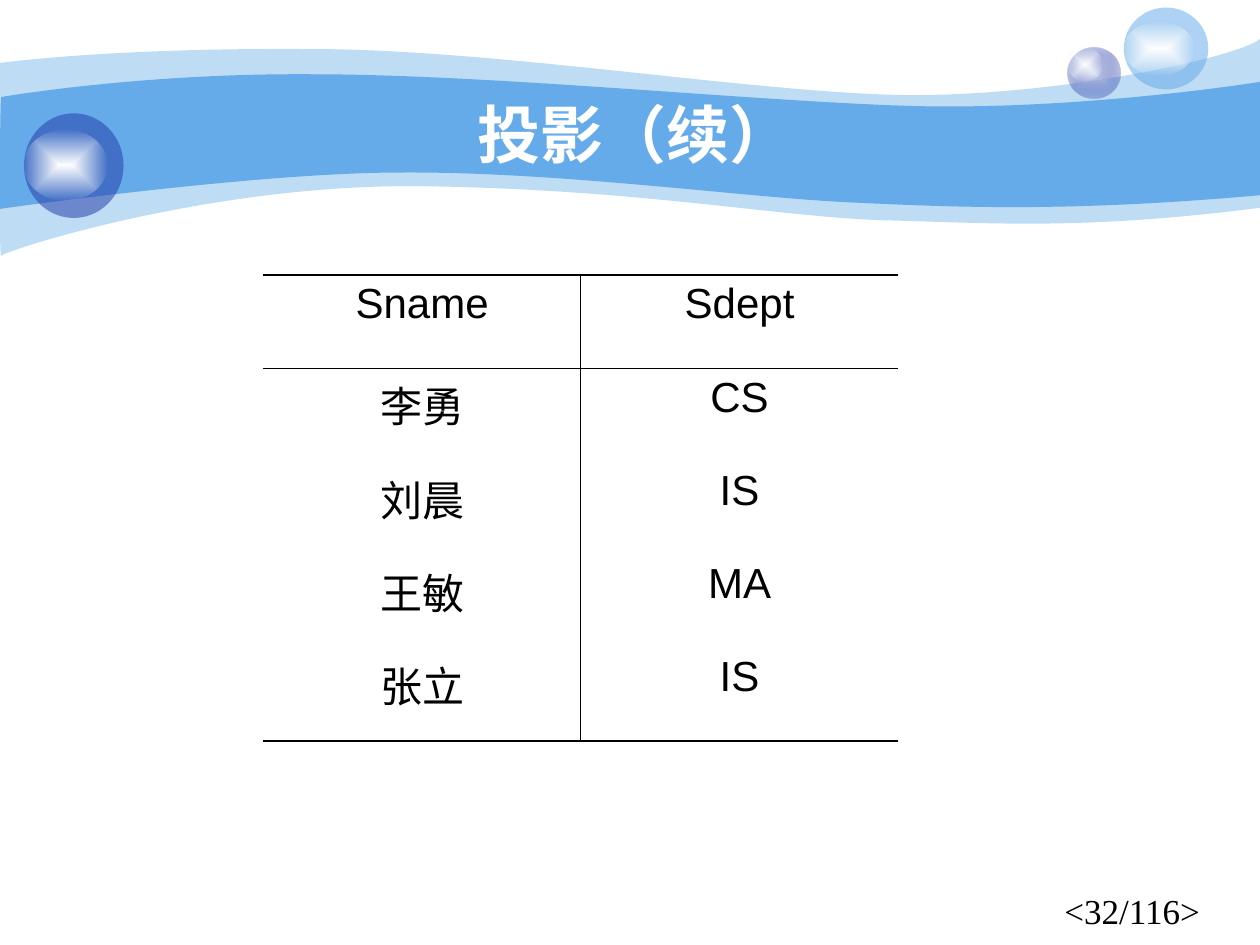
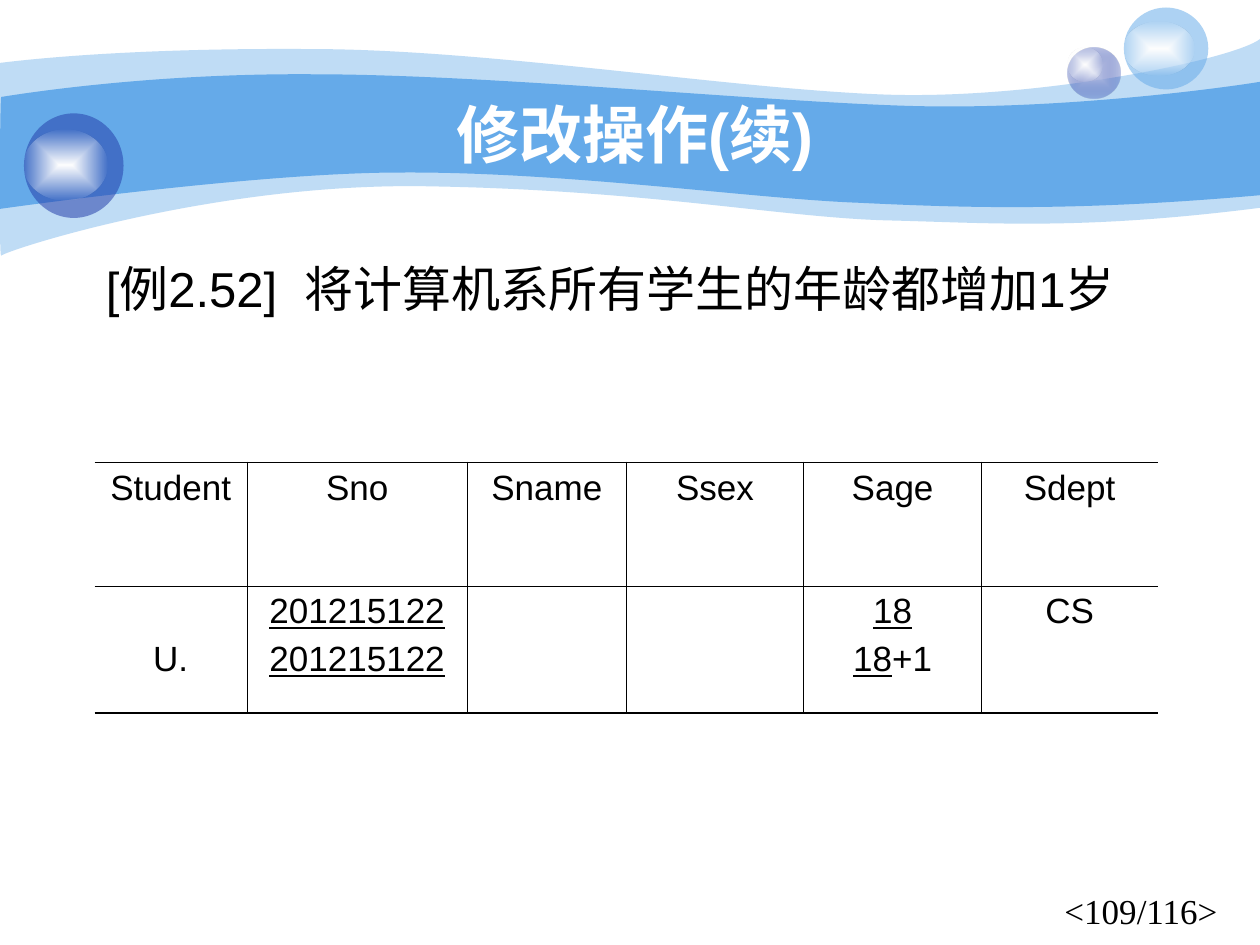
"""Two database-course slides with a shared wave banner, titles and ruled tables."""
from lxml import etree
from pptx import Presentation
from pptx.dml.color import RGBColor
from pptx.enum.shapes import MSO_SHAPE
from pptx.enum.text import MSO_ANCHOR, MSO_AUTO_SIZE, PP_ALIGN
from pptx.oxml.ns import qn
from pptx.util import Pt

ELLIPSE = MSO_SHAPE.OVAL
CENTER, JUSTIFY, LEFT = PP_ALIGN.CENTER, PP_ALIGN.JUSTIFY, PP_ALIGN.LEFT
MIDDLE, TOP = MSO_ANCHOR.MIDDLE, MSO_ANCHOR.TOP
NO_AUTOFIT = MSO_AUTO_SIZE.NONE

EMU_PER_PX = 9144
COLORS = {
    "sky": "65AAE9",
    "navy": "233DA9",
    "lilac": "C7CEE9",
    "white": "FFFFFF",
    "black": "000000",
}
SANS, SERIF = "Arial", "Times New Roman"
HEAVY_RULE, THIN_RULE = 1.08, 0.45
GLOW = [("white", 100), ("white", 0)]

PALE_WAVE = [
    [(0, 50)],
    [(24, 47), (107, 38), (247, 39)],
    [(386, 39), (575, 70), (699, 75)],
    [(822, 80), (980, 47), (1000, 31)],
    [(1000, 165)],
    [(858, 183), (787, 177), (705, 175)],
    [(622, 173), (515, 151), (343, 148)],
    [(172, 144), (4, 199), (1, 203)],
    [(-1, 208), (0, 75), (0, 50)],
]
BLUE_WAVE = [
    [(1, 77)],
    [(2, 77), (110, 58), (248, 59)],
    [(386, 59), (595, 80), (718, 84)],
    [(841, 88), (976, 69), (1000, 65)],
    [(1000, 155)],
    [(853, 168), (765, 165), (682, 161)],
    [(599, 158), (447, 136), (317, 137)],
    [(203, 137), (-2, 166), (-1, 166)],
    [(0, 166), (0, 77), (1, 77)],
]


def px(length):
    """Turn px, 100 to the inch, into EMU."""
    return round(length * EMU_PER_PX)


def frame(bounds):
    """Turn left, top, width and height into EMU."""
    return [px(length) for length in bounds]


def add_color(parent, name, opacity=100):
    """Add a colour element with an opacity in percent."""
    color = etree.SubElement(parent, qn("a:srgbClr"), val=COLORS[name])
    if opacity < 100:
        etree.SubElement(color, qn("a:alpha"), val=str(opacity * 1000))


def paint(shape, stops):
    """Fill a shape with one colour or with a gradient from its centre."""
    shape.shadow.inherit = False
    shape.line.fill.background()
    shape.fill.background()
    properties = shape.element.spPr
    blank = properties.find(qn("a:noFill"))
    if len(stops) == 1:
        fill = etree.Element(qn("a:solidFill"))
        add_color(fill, *stops[0])
    else:
        fill = etree.Element(qn("a:gradFill"), rotWithShape="1")
        stop_list = etree.SubElement(fill, qn("a:gsLst"))
        for position, stop in zip(("0", "100000"), stops):
            add_color(etree.SubElement(stop_list, qn("a:gs"), pos=position), *stop)
        direction = etree.SubElement(fill, qn("a:path"))
        direction.set("path", "rect")
        etree.SubElement(direction, qn("a:fillToRect"), l="50000", t="50000", r="50000", b="50000")
    properties.replace(blank, fill)


def bend(shape, segments):
    """Join the straight steps of each three-point segment into a cubic curve."""
    outline = next(shape.element.spPr.iter(qn("a:path")))
    steps = iter(outline.findall(qn("a:lnTo")))
    for segment in segments:
        group = [next(steps) for _ in segment]
        if len(group) == 3:
            curve = etree.Element(qn("a:cubicBezTo"))
            group[0].addprevious(curve)
            for step in group:
                curve.append(step[0])
                outline.remove(step)


def add_wave(page, segments, opacity):
    """Add a closed wave band."""
    start, *points = [(px(x), px(y)) for segment in segments for x, y in segment]
    builder = page.shapes.build_freeform(*start)
    builder.add_line_segments(points, close=True)
    wave = builder.convert_to_shape()
    bend(wave, segments[1:])
    paint(wave, [("sky", opacity)])
    return wave


def add_ball(page, bounds, stops):
    """Add one ellipse of a glass ball."""
    ball = page.shapes.add_shape(ELLIPSE, *frame(bounds))
    paint(ball, stops)
    return ball


def decorate_master(deck, page):
    """Draw the banner and the balls once and place them on the slide master."""
    parts = [add_wave(page, PALE_WAVE, 41), add_wave(page, BLUE_WAVE, 100)]
    balls = [
        ((847, 38, 42, 40), [("lilac", 100), ("navy", 31)]),
        ((847, 38, 28, 27), GLOW),
        ((892, 6, 67, 65), [("sky", 53)]),
        ((892, 17, 56, 43), GLOW),
        ((19, 90, 79, 83), [("navy", 53)]),
        ((19, 103, 66, 56), GLOW),
    ]
    parts += [add_ball(page, bounds, stops) for bounds, stops in balls]
    tree = deck.slide_master.shapes.element
    for order, part in enumerate(parts):
        part.element.nvSpPr.cNvPr.set("id", str(100 + order))
        tree.insert(2 + order, part.element)


def add_span(para, text, size, color="black", font=SANS, bold=False, underline=False):
    """Add one formatted run."""
    span = para.add_run()
    span.text = text
    span.font.name = font
    span.font.size = Pt(size)
    span.font.bold = bold
    span.font.underline = underline
    span.font.color.rgb = RGBColor.from_string(COLORS[color])
    return span


def prepare_box(box, bounds, anchor, alignment):
    """Place a text shape and return its first paragraph."""
    box.left, box.top, box.width, box.height = frame(bounds)
    text = box.text_frame
    text.word_wrap = True
    text.auto_size = NO_AUTOFIT
    text.vertical_anchor = anchor
    para = text.paragraphs[0]
    para.alignment = alignment
    para.space_before = Pt(0)
    return para


def add_heading(page, title, number):
    """Fill the title and add the page number."""
    para = prepare_box(page.shapes.title, (100, 75, 808, 62), MIDDLE, CENTER)
    add_span(para, title, 36, "white", bold=True)
    bounds = (835, 701, 153, 77)
    box = page.shapes.add_textbox(*frame(bounds))
    add_span(prepare_box(box, bounds, TOP, LEFT), f"<{number}/116>", 20, font=SERIF)


def add_example(page, label, sentence):
    """Fill the body placeholder with a hanging example sentence."""
    para = prepare_box(page.placeholders[1], (50, 200, 875, 144), TOP, JUSTIFY)
    properties = para._p.get_or_add_pPr()
    properties.set("marL", str(px(38)))
    properties.set("indent", str(px(-14)))
    etree.SubElement(properties, qn("a:buNone"))
    add_span(para, label, 28)
    gap = add_span(para, " ", 28)
    gap._r.get_or_add_rPr().set("spc", "780")
    add_span(para, sentence, 28)


def add_rule(cell, side, width):
    """Draw one cell border, or none when the width is zero."""
    properties = cell._tc.get_or_add_tcPr()
    rule = etree.SubElement(properties, qn(f"a:ln{side}"), w=str(Pt(width)))
    if width:
        add_color(etree.SubElement(rule, qn("a:solidFill")), "black")
    else:
        etree.SubElement(rule, qn("a:noFill"))


def plain(*words):
    """Turn words into cells of one plain paragraph each."""
    return [[[(word, False)]] for word in words]


def fill_cell(cell, paragraphs, size, gap):
    """Write centred paragraphs of (text, underline) spans into a cell."""
    for index, spans in enumerate(paragraphs):
        text = cell.text_frame
        para = text.add_paragraph() if index else text.paragraphs[0]
        para.alignment = CENTER
        para.space_before = Pt(gap if index else 0)
        for words, underline in spans:
            add_span(para, words, size, underline=underline)


def add_ruled_table(page, corner, widths, heights, rows, size, gap):
    """Add a table with inner column rules and a ruled header."""
    bounds = (*corner, sum(widths), sum(heights))
    table = page.shapes.add_table(len(rows), len(widths), *frame(bounds)).table
    table.first_row = table.horz_banding = False
    for column, width in zip(table.columns, widths):
        column.width = px(width)
    for row, height in zip(table.rows, heights):
        row.height = px(height)
    row_rules = [HEAVY_RULE, THIN_RULE] + [0] * (len(rows) - 2) + [HEAVY_RULE]
    column_rules = [0] + [THIN_RULE] * (len(widths) - 1) + [0]
    for r, row in enumerate(rows):
        for c, paragraphs in enumerate(row):
            cell = table.cell(r, c)
            add_rule(cell, "L", column_rules[c])
            add_rule(cell, "R", column_rules[c + 1])
            add_rule(cell, "T", row_rules[r])
            add_rule(cell, "B", row_rules[r + 1])
            cell.fill.background()
            fill_cell(cell, paragraphs, size, gap)
    return table


def build_projection(page):
    """Build the projection result slide."""
    add_heading(page, "投影（续）", 32)
    students = [("Sname", "Sdept"), ("李勇", "CS"), ("刘晨", "IS"), ("王敏", "MA"), ("张立", "IS")]
    rows = [plain(*student) for student in students]
    add_ruled_table(page, (209, 218), [252] * 2, [74] * 5, rows, 24, 6)


def build_update(page):
    """Build the update example slide."""
    add_heading(page, "修改操作(续)", 109)
    add_example(page, "[例2.52]", "将计算机系所有学生的年龄都增加1岁")
    number, age = ("201215122", True), ("18", True)
    rows = [
        plain("Student", "Sno", "Sname", "Ssex", "Sage", "Sdept"),
        [*plain("U."), [[number], [number]], [], [], [[age], [age, ("+1", False)]], *plain("CS")],
    ]
    widths = [121, 175, 126, 141, 141, 140]
    table = add_ruled_table(page, (75, 367), widths, [98, 101], rows, 20, 5)
    table.cell(1, 0).margin_top = px(43)


def main():
    """Build and save the deck."""
    deck = Presentation()
    deck.slide_width, deck.slide_height = px(1000), px(750)
    projection = deck.slides.add_slide(deck.slide_layouts[5])
    decorate_master(deck, projection)
    build_projection(projection)
    build_update(deck.slides.add_slide(deck.slide_layouts[1]))
    deck.save("out.pptx")


if __name__ == "__main__":
    main()
